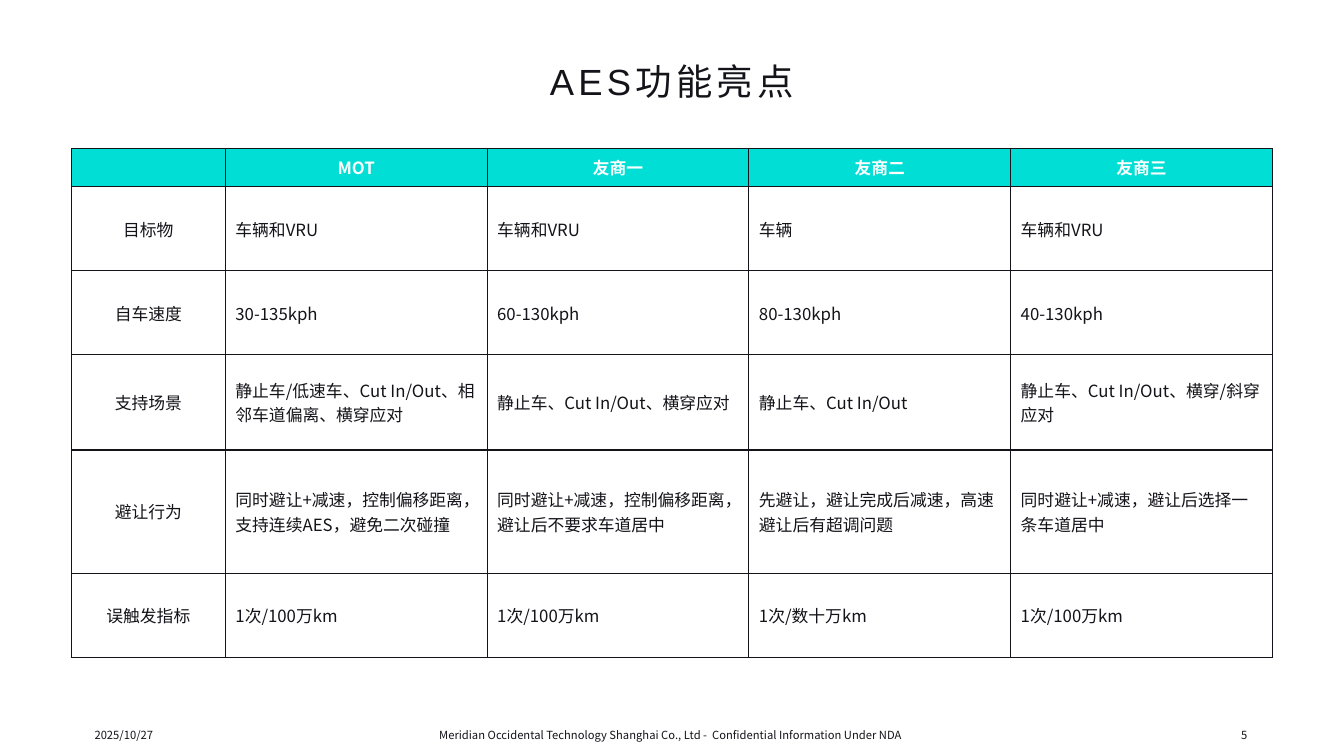
from itertools import product

from lxml import etree
from pptx import Presentation
from pptx.dml.color import RGBColor
from pptx.enum import text
from pptx.oxml import ns
from pptx.util import Pt

INK = RGBColor(0x13, 0x13, 0x19)
TURQUOISE = RGBColor(0x00, 0xDE, 0xD5)
WHITE = RGBColor(0xFF, 0xFF, 0xFF)
BODY_FONT = "Noto Sans CJK SC"
TITLE_FONT = "Arial"
LEFT, CENTER, RIGHT = text.PP_ALIGN.LEFT, text.PP_ALIGN.CENTER, text.PP_ALIGN.RIGHT

COLUMN_WIDTHS = [110] + [187] * 4
ROW_HEIGHTS = [27.5, 60, 60, 68, 88, 60]
COMPARISON = [
    ["", "MOT", "友商一", "友商二", "友商三"],
    ["目标物", "车辆和VRU", "车辆和VRU", "车辆", "车辆和VRU"],
    ["自车速度", "30-135kph", "60-130kph", "80-130kph", "40-130kph"],
    ["支持场景", "静止车/低速车、Cut In/Out、相邻车道偏离、横穿应对",
     "静止车、Cut In/Out、横穿应对", "静止车、Cut In/Out",
     "静止车、Cut In/Out、横穿/斜穿应对"],
    ["避让行为", "同时避让+减速，控制偏移距离，支持连续AES，避免二次碰撞",
     "同时避让+减速，控制偏移距离，避让后不要求车道居中",
     "先避让，避让完成后减速，高速避让后有超调问题",
     "同时避让+减速，避让后选择一条车道居中"],
    ["误触发指标", "1次/100万km", "1次/100万km", "1次/数十万km", "1次/100万km"],
]


def style(para, size, align, color=INK, bold=False, name=BODY_FONT):
    """Format a whole paragraph, with one typeface for Latin and Chinese."""
    para.alignment = align
    font = para.font
    font.size, font.bold, font.name = Pt(size), bold, name
    font.color.rgb = color
    properties = para._p.pPr.find(ns.qn("a:defRPr"))
    east_asian = etree.Element(ns.qn("a:ea"), typeface=BODY_FONT)
    properties.find(ns.qn("a:latin")).addnext(east_asian)


def add_title(page, left, top, width, height):
    title = page.shapes.title
    title.left, title.top, title.width, title.height = map(Pt, (left, top, width, height))
    frame = title.text_frame
    frame.text = "AES功能亮点"
    frame.vertical_anchor = text.MSO_ANCHOR.MIDDLE
    para = frame.paragraphs[0]
    style(para, 26, CENTER, name=TITLE_FONT)
    para._p.pPr.find(ns.qn("a:defRPr")).set("spc", "300")


def add_borders(cell):
    properties = cell._tc.get_or_add_tcPr()
    for side in ("lnL", "lnR", "lnT", "lnB"):
        line = etree.SubElement(properties, ns.qn(f"a:{side}"), w=str(Pt(1)))
        fill = etree.SubElement(line, ns.qn("a:solidFill"))
        etree.SubElement(fill, ns.qn("a:srgbClr"), val=str(INK))


def add_comparison(page, left, top):
    frame = page.shapes.add_table(
        len(ROW_HEIGHTS), len(COLUMN_WIDTHS), Pt(left), Pt(top),
        Pt(sum(COLUMN_WIDTHS)), Pt(sum(ROW_HEIGHTS)))
    table = frame.table
    table.first_row = table.horz_banding = False
    for column, width in zip(table.columns, COLUMN_WIDTHS):
        column.width = Pt(width)
    for row, height in zip(table.rows, ROW_HEIGHTS):
        row.height = Pt(height)

    for r, c in product(range(len(ROW_HEIGHTS)), range(len(COLUMN_WIDTHS))):
        cell = table.cell(r, c)
        header = r == 0
        cell.text = COMPARISON[r][c]
        cell.vertical_anchor = text.MSO_ANCHOR.MIDDLE
        style(cell.text_frame.paragraphs[0], 12, CENTER if header or c == 0 else LEFT,
              WHITE if header else INK, header)
        add_borders(cell)
        if header:
            cell.fill.solid()
            cell.fill.fore_color.rgb = TURQUOISE
        else:
            cell.fill.background()


def add_footer(page, left, top, width, height):
    company = "Meridian Occidental Technology Shanghai Co., Ltd"
    side, middle = 216, 364
    parts = [
        ("2025/10/27", 0, side, LEFT),
        (f"{company} -  Confidential Information Under NDA", (width - middle) / 2, middle, CENTER),
        ("5", width - side, side, RIGHT),
    ]
    for words, offset, part_width, align in parts:
        box = page.shapes.add_textbox(Pt(left + offset), Pt(top), Pt(part_width), Pt(height))
        frame = box.text_frame
        frame.word_wrap = True
        frame.vertical_anchor = text.MSO_ANCHOR.MIDDLE
        frame.text = words
        style(frame.paragraphs[0], 8, align)


def main():
    deck = Presentation()
    deck.slide_width, deck.slide_height = Pt(960), Pt(540)
    page = deck.slides.add_slide(deck.slide_layouts.get_by_name("Title Only"))
    add_title(page, 61, 38, 838, 39)
    add_comparison(page, 51, 106)
    add_footer(page, 60.5, 510.5, 837.5, 29)
    deck.save("out.pptx")


if __name__ == "__main__":
    main()
